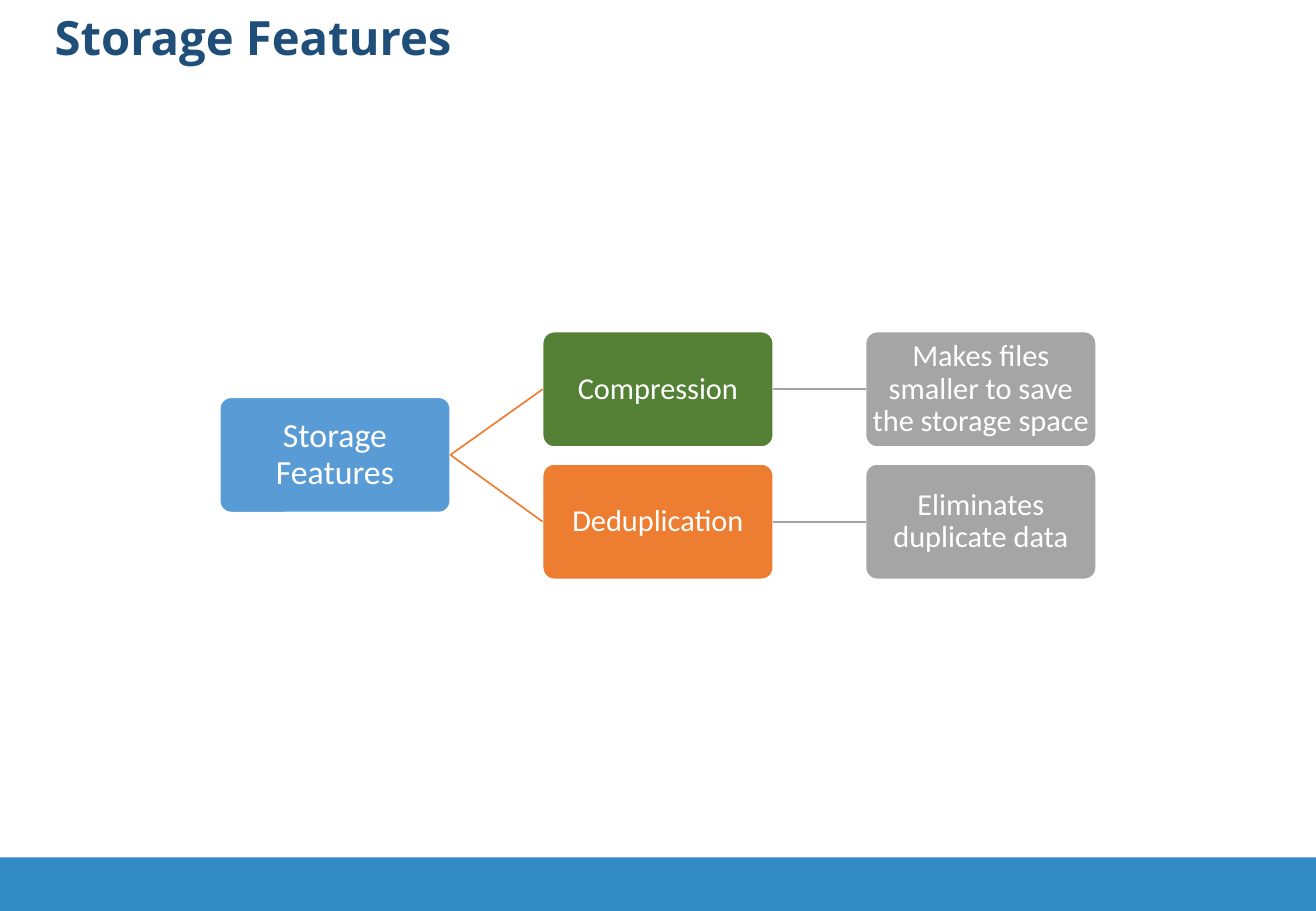
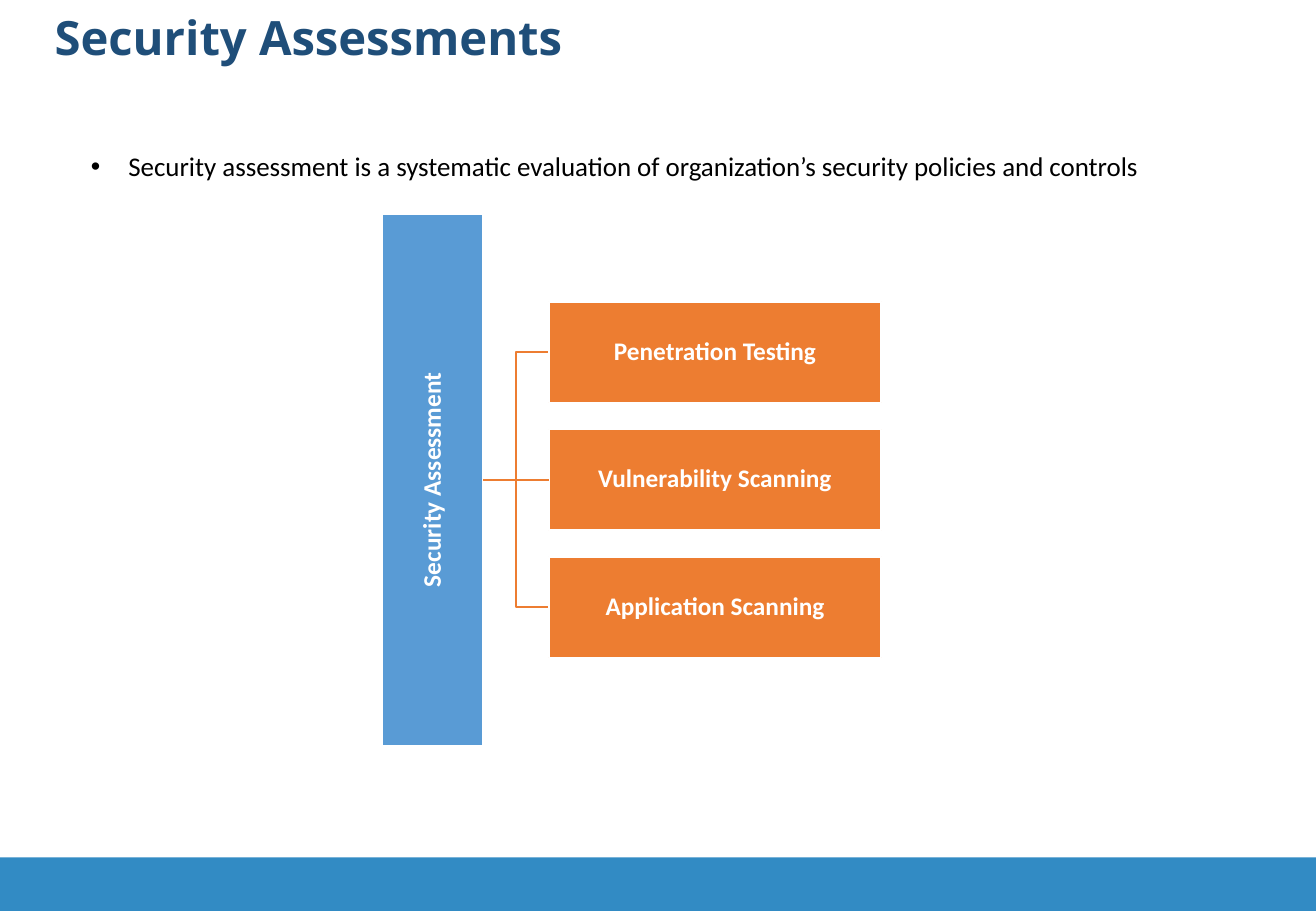
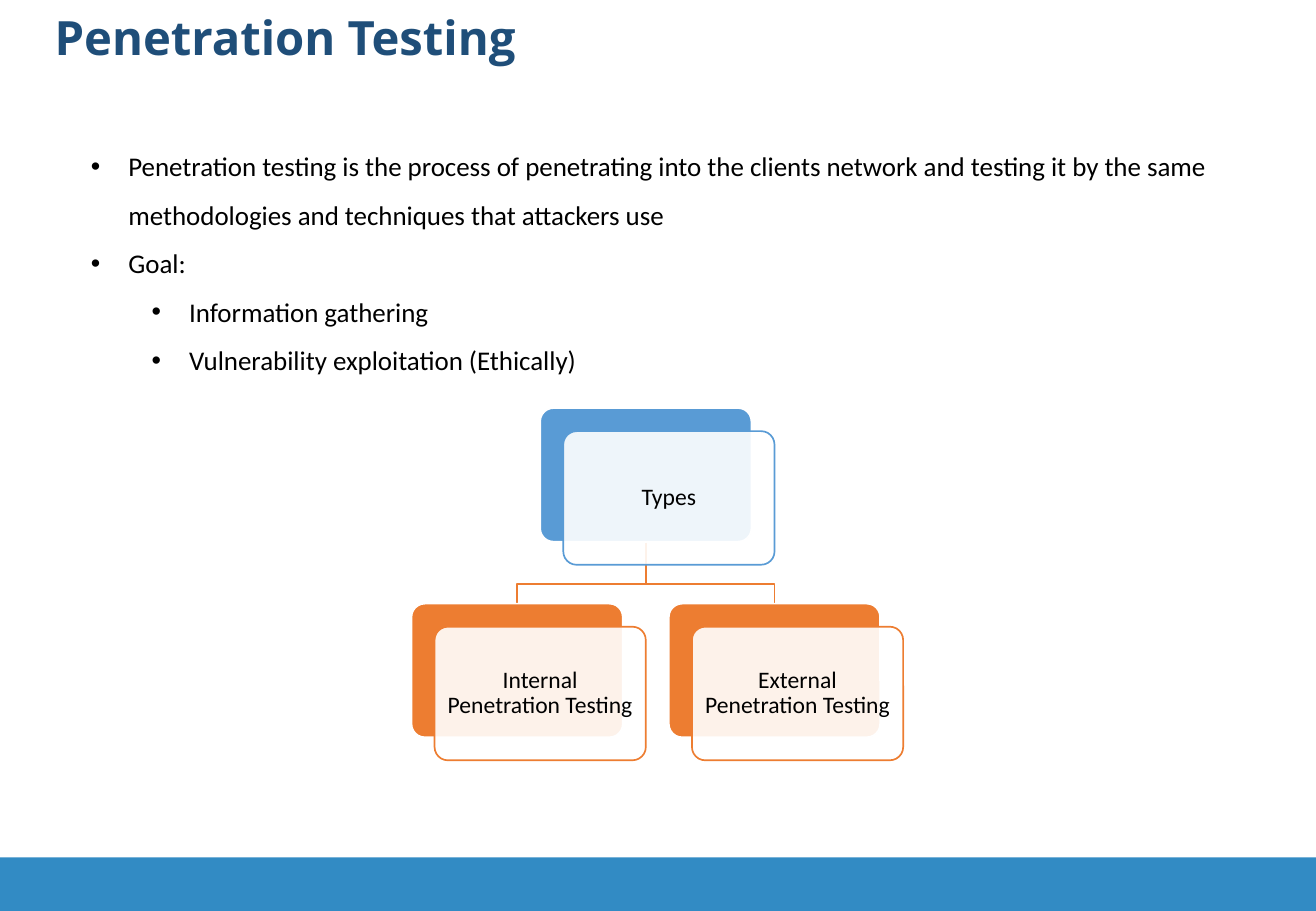
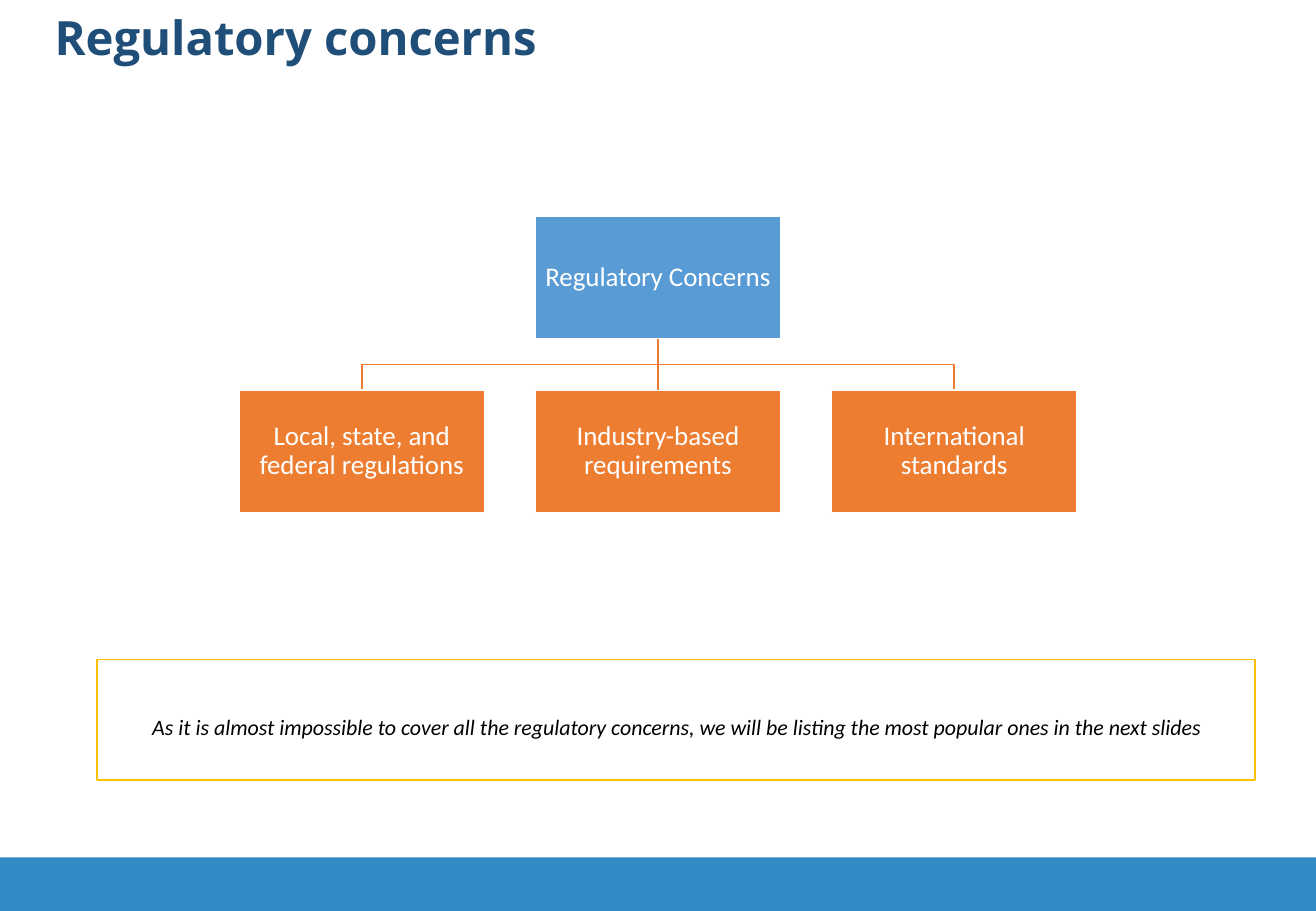
"""Build four security slides with diagrams on a shared style."""
from lxml.etree import SubElement
from pptx import Presentation
from pptx.dml.color import RGBColor
from pptx.enum.shapes import MSO_CONNECTOR, MSO_SHAPE
from pptx.enum.text import MSO_ANCHOR, MSO_AUTO_SIZE, PP_ALIGN
from pptx.oxml.ns import qn
from pptx.util import Inches, Pt

RECTANGLE = MSO_SHAPE.RECTANGLE
ROUNDED = MSO_SHAPE.ROUNDED_RECTANGLE
STRAIGHT = MSO_CONNECTOR.STRAIGHT
TOP, MIDDLE = MSO_ANCHOR.TOP, MSO_ANCHOR.MIDDLE
LEFT, CENTER = PP_ALIGN.LEFT, PP_ALIGN.CENTER
NO_AUTOFIT = MSO_AUTO_SIZE.NONE
SIDE_TOP, SIDE_LEFT, SIDE_BOTTOM, SIDE_RIGHT = range(4)

WHITE = RGBColor(0xFF, 0xFF, 0xFF)
BLACK = RGBColor(0x00, 0x00, 0x00)
NAVY = RGBColor(0x1F, 0x4E, 0x79)
BAND_BLUE = RGBColor(0x32, 0x8B, 0xC4)
BLUE = RGBColor(0x59, 0x9B, 0xD5)
ORANGE = RGBColor(0xED, 0x7D, 0x31)
GREEN = RGBColor(0x54, 0x81, 0x35)
GRAY = RGBColor(0xA5, 0xA5, 0xA5)
GOLD = RGBColor(0xFF, 0xC0, 0x00)

WIDTH, HEIGHT = 10.84, 7.5
TITLE_FONT, BODY_FONT = "Open Sans", "Calibri"


class Deck:
    """Hold the shared style and the slide being drawn."""

    def __init__(self):
        self.presentation = Presentation()
        self.presentation.slide_width = Inches(WIDTH)
        self.presentation.slide_height = Inches(HEIGHT)
        self.slide = None

    def add_slide(self, title):
        """Start a slide with its title and footer band."""
        self.slide = self.presentation.slides.add_slide(self.presentation.slide_layouts[5])
        self.box(0, 7.06, WIDTH, 0.44, BAND_BLUE, line=None)
        shape = self.slide.shapes.title
        shape.left, shape.top = Inches(0.35), Inches(0.07)
        shape.width, shape.height = Inches(6.21), Inches(0.69)
        frame = shape.text_frame
        frame.text = title
        frame.vertical_anchor = TOP
        frame.auto_size = NO_AUTOFIT
        paragraph = frame.paragraphs[0]
        paragraph.alignment = LEFT
        paragraph.line_spacing = 0.9
        self.style(paragraph, 28, NAVY, name=TITLE_FONT, bold=True)

    def style(self, paragraph, size, color, name=BODY_FONT, bold=False, italic=False):
        """Set the font of a paragraph."""
        font = paragraph.font
        font.name, font.size = name, Pt(size)
        font.bold, font.italic = bold, italic
        font.color.rgb = color

    def box(self, left, top, width, height, fill, line=WHITE, kind=RECTANGLE):
        """Draw a filled or open box."""
        shape = self.slide.shapes.add_shape(
            kind, Inches(left), Inches(top), Inches(width), Inches(height))
        shape.shadow.inherit = False
        if kind == ROUNDED:
            shape.adjustments[0] = 0.1
        if fill is None:
            shape.fill.background()
        else:
            shape.fill.solid()
            shape.fill.fore_color.rgb = fill
        if line is None:
            shape.line.fill.background()
        else:
            shape.line.color.rgb = line
            shape.line.width = Pt(1)
        return shape

    def label(self, shape, text, size, color=WHITE, margin=0.01, spacing=0.9, **font):
        """Write centred text inside a box."""
        frame = shape.text_frame
        frame.word_wrap = True
        frame.vertical_anchor = MIDDLE
        frame.margin_left = frame.margin_right = Inches(margin)
        frame.margin_top = frame.margin_bottom = Inches(margin)
        frame.text = text
        paragraph = frame.paragraphs[0]
        paragraph.alignment = CENTER
        paragraph.line_spacing = spacing
        self.style(paragraph, size, color, **font)

    def card(self, left, top, text, color):
        """Draw a coloured card with a translucent labelled card over it."""
        width, height, shift = 1.74, 1.1, 0.19
        self.box(left, top, width, height, color, kind=ROUNDED)
        front = self.box(left + shift, top + shift, width, height, WHITE, color, ROUNDED)
        solid_color = front.element.spPr.find(qn("a:solidFill"))[0]
        SubElement(solid_color, qn("a:alpha")).set("val", "90000")
        self.label(front, text, 14, BLACK, margin=0.06)

    def join(self, start, start_side, end, end_side, color=ORANGE):
        """Join the sides of two boxes with a straight connector."""
        connector = self.slide.shapes.add_connector(STRAIGHT, 0, 0, 0, 0)
        connector.begin_connect(start, start_side)
        connector.end_connect(end, end_side)
        connector.line.color.rgb = color
        connector.line.width = Pt(1)
        SubElement(connector.element.spPr, qn("a:effectLst"))

    def bend(self, *points):
        """Draw an open bent line through the points."""
        corners = [(Inches(x), Inches(y)) for x, y in points]
        builder = self.slide.shapes.build_freeform(*corners[0])
        builder.add_line_segments(corners[1:], close=False)
        shape = builder.convert_to_shape()
        shape.shadow.inherit = False
        shape.fill.background()
        shape.line.color.rgb = ORANGE
        shape.line.width = Pt(1)

    def bullets(self, height, *items):
        """Write bulleted paragraphs given as (level, text)."""
        shape = self.slide.shapes.add_textbox(
            Inches(0.65), Inches(1.05), Inches(9.54), Inches(height))
        frame = shape.text_frame
        frame.word_wrap = True
        for index, (level, text) in enumerate(items):
            paragraph = frame.add_paragraph() if index else frame.paragraphs[0]
            paragraph.text = text
            paragraph.level = level
            paragraph.line_spacing = 1.5
            properties = paragraph._p.get_or_add_pPr()
            properties.set("marL", str(Inches(0.31 + 0.5 * level)))
            properties.set("indent", str(Inches(-0.31)))
            SubElement(properties, qn("a:buFont")).set("typeface", "Arial")
            SubElement(properties, qn("a:buChar")).set("char", "•")
            self.style(paragraph, 16, BLACK)


def storage_features(deck):
    """Draw the storage feature tree."""
    deck.add_slide("Storage Features")
    width, height, step = 1.9, 0.95, 2.66
    left = 1.81
    root = deck.box(left, 3.27, width, height, BLUE, kind=ROUNDED)
    deck.label(root, "Storage Features", 20)
    rows = [
        (2.73, GREEN, "Compression", "Makes files smaller to save the storage space"),
        (3.82, ORANGE, "Deduplication", "Eliminates duplicate data"),
    ]
    for top, color, name, purpose in rows:
        feature = deck.box(left + step, top, width, height, color, kind=ROUNDED)
        deck.label(feature, name, 18)
        effect = deck.box(left + 2 * step, top, width, height, GRAY, kind=ROUNDED)
        deck.label(effect, purpose, 18)
        deck.join(root, SIDE_RIGHT, feature, SIDE_LEFT)
        deck.join(feature, SIDE_RIGHT, effect, SIDE_LEFT, GRAY)


def security_assessments(deck):
    """Draw the kinds of security assessment."""
    deck.add_slide("Security Assessments")
    deck.bullets(0.91, (0, "Security assessment is a systematic evaluation of "
                           "organization’s security policies and controls"))
    center, step, thickness = 3.95, 1.05, 0.83
    for end in (center - step, center + step):
        deck.bend((3.98, center), (4.25, center), (4.25, end), (4.52, end))
    root = deck.box(3.15, center - 2.19, thickness, 4.38, BLUE)
    deck.label(root, "Security Assessment", 15, bold=True)
    root.element.find(".//" + qn("a:bodyPr")).set("vert", "vert270")
    names = ["Penetration Testing", "Vulnerability Scanning", "Application Scanning"]
    boxes = []
    for index, name in enumerate(names):
        top = center + (index - 1) * step - thickness / 2
        boxes.append(deck.box(4.52, top, 2.74, thickness, ORANGE))
        deck.label(boxes[-1], name, 15, bold=True)
    deck.join(root, SIDE_RIGHT, boxes[1], SIDE_LEFT)


def penetration_testing(deck):
    """Draw the goals and types of penetration testing."""
    deck.add_slide("Penetration Testing")
    deck.bullets(
        2.12,
        (0, "Penetration testing is the process of penetrating into the clients network "
            "and testing it by the same methodologies and techniques that attackers use"),
        (0, "Goal:"),
        (1, "Information gathering"),
        (1, "Vulnerability exploitation (Ethically)"),
    )
    center, spread, half_card = 5.32, 1.06, 0.87
    for end in (center - spread, center + spread):
        deck.bend((center, 4.47), (center, 4.81), (end, 4.81), (end, 4.97))
    left = center - half_card
    deck.card(left, 3.36, "Types", BLUE)
    deck.card(left - spread, 4.97, "Internal Penetration Testing", ORANGE)
    deck.card(left + spread, 4.97, "External Penetration Testing", ORANGE)


def regulatory_concerns(deck):
    """Draw the groups of regulatory concerns."""
    deck.add_slide("Regulatory concerns")
    center, step, width, height = WIDTH / 2, 2.44, 2.02, 1.01
    for end in (center - step, center + step):
        deck.bend((center, 2.79), (center, 3), (end, 3), (end, 3.21))
    left = center - width / 2
    root = deck.box(left, 1.78, width, height, BLUE)
    deck.label(root, "Regulatory Concerns", 16)
    names = ["Local, state, and federal regulations", "Industry-based requirements",
             "International standards"]
    boxes = []
    for index, name in enumerate(names):
        boxes.append(deck.box(left + (index - 1) * step, 3.21, width, height, ORANGE))
        deck.label(boxes[-1], name, 16)
    deck.join(root, SIDE_BOTTOM, boxes[1], SIDE_TOP)
    note = deck.box(0.8, 5.43, 9.54, 0.99, None, GOLD)
    deck.label(note, "As it is almost impossible to cover all the regulatory concerns, we will "
                     "be listing the most popular ones in the next slides",
               13, BLACK, margin=0.1, spacing=1.5, italic=True)


def main():
    """Build and save the presentation."""
    deck = Deck()
    storage_features(deck)
    security_assessments(deck)
    penetration_testing(deck)
    regulatory_concerns(deck)
    deck.presentation.save("out.pptx")


if __name__ == "__main__":
    main()
